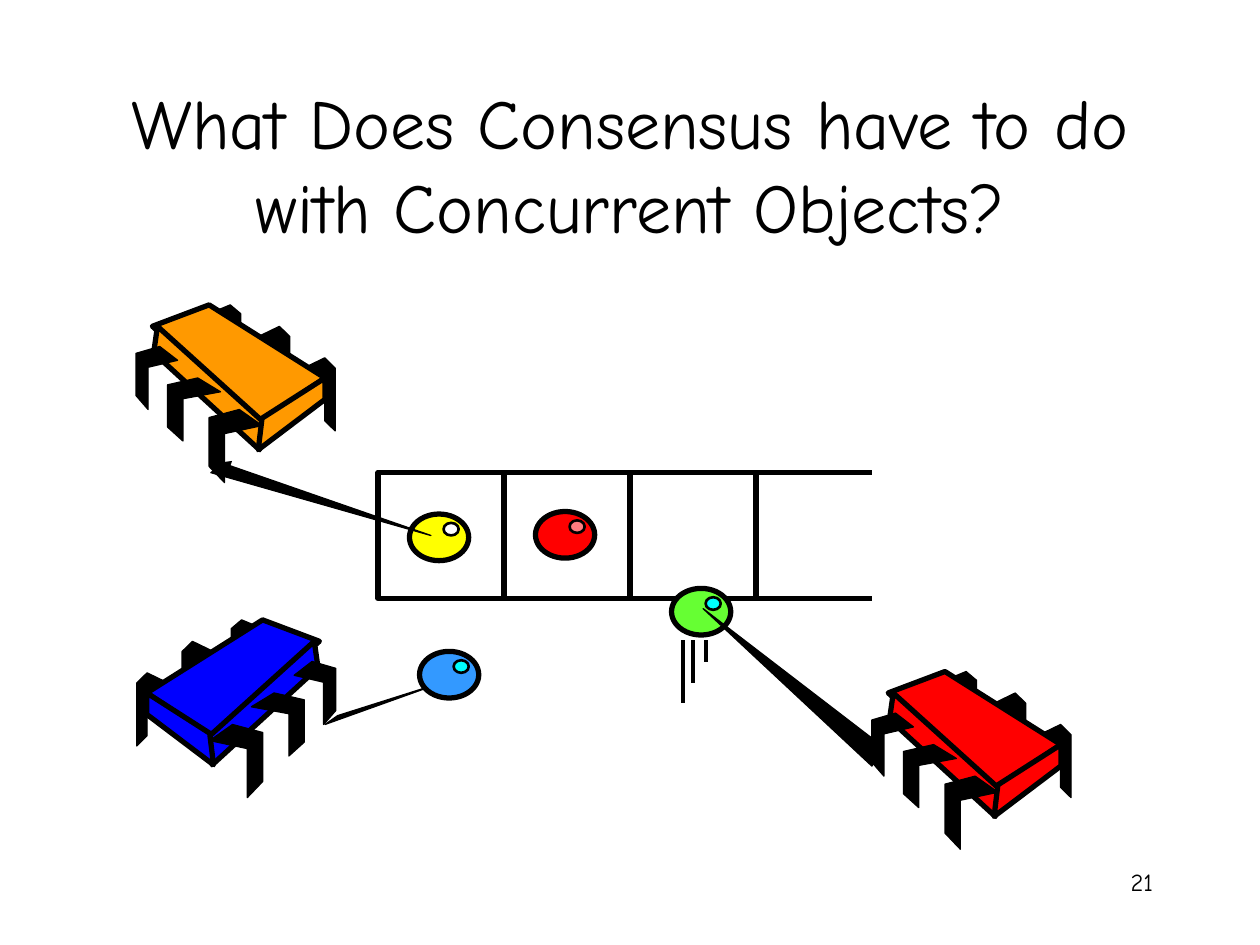
from typing import NamedTuple

from lxml.etree import SubElement
from pptx import Presentation
from pptx.dml.color import RGBColor
from pptx.enum.shapes import MSO_CONNECTOR, MSO_SHAPE
from pptx.enum.text import MSO_ANCHOR, MSO_AUTO_SIZE, PP_ALIGN
from pptx.oxml.ns import qn
from pptx.util import Inches, Pt

FONT = "Comic Neue"
COLORS = {
    "black": "000000", "white": "FFFFFF", "orange": "FF9900", "red": "FF0000",
    "blue": "0000FF", "yellow": "FFFF00", "green": "66FF33", "sky": "3399FF",
    "cyan": "00FFFF", "pink": "FF7C80",
}
Points = list[tuple[float, float]]


class Bug(NamedTuple):
    left: float
    top: float
    color: str
    mirrored: bool = False


class Leg(NamedTuple):
    left: float
    top: float
    width: float
    height: float


class Ball(NamedTuple):
    left: float
    top: float
    color: str
    shine: str


class Arm(NamedTuple):
    points: Points
    closed: bool = True


# Bug outlines, relative to the bug's top left corner
BUG_WIDTH = 1.585
FAR_LEG = [(0, .14), (.67, 0), (1, .14), (1, 1), (.67, .86), (.67, .29), (0, .43)]
NEAR_LEG = [(.57, 0), (1, .22), (.29, .33), (.29, 1), (0, .78), (0, .11)]
FAR_LEGS = [Leg(1.33, .42, .25, .58), Leg(.97, .17, .25, .58), Leg(.58, 0, .25, .5)]
NEAR_LEGS = [Leg(.58, .83, .42, .58), Leg(.25, .58, .42, .5), Leg(0, .33, .33, .5)]
BODY = [
    [(.58, 0), (1.5, .58), (.98, .93), (.13, .17)],
    [(.17, .17), (1, .92), (.98, 1.15), (.14, .38)],
    [(1.5, .58), (1.5, .75), (.97, 1.15), (1, .9)],
]

RED_BUG = Bug(6.92, 5.33, "red")
BLUE_BUG = Bug(1.08, 4.92, "blue", mirrored=True)
ORANGE_BUG = Bug(1.08, 2.42, "orange")
GREEN_BALL = Ball(5.33, 4.67, "green", "cyan")
RED_BALL = Ball(4.25, 4.06, "red", "pink")
BLUE_BALL = Ball(3.33, 5.17, "sky", "cyan")
YELLOW_BALL = Ball(3.25, 4.08, "yellow", "white")
RED_ARM = Arm([(6.92, 6.08), (7, 5.92), (5.58, 4.83)])
BLUE_ARM = Arm([(2.58, 5.75), (2.68, 5.68), (3.5, 5.42)])
ORANGE_ARM = Arm([(1.67, 3.75), (3.42, 4.25), (1.75, 3.67)], closed=False)

# Queue cells and motion lines
CELL = 1
QUEUE_LEFT, QUEUE_TOP, CELL_COUNT = 3, 3.75, 3
TAIL_LEFT = 5.92
MOTION_TOP = 5.08
MOTION_LINES = [(5.42, .5), (5.5, .34), (5.6, .17)]

deck = Presentation()
deck.slide_width, deck.slide_height = Inches(10), Inches(7.5)
page = deck.slides.add_slide(deck.slide_layouts[5])


def color(name: str) -> RGBColor:
    return RGBColor.from_string(COLORS[name])


def style(shape, fill: str | None, width: float) -> None:
    shape.shadow.inherit = False
    if fill:
        shape.fill.solid()
        shape.fill.fore_color.rgb = color(fill)
    else:
        shape.fill.background()
    shape.line.color.rgb = color("black")
    shape.line.width = Pt(width)


def add_preset(kind, left: float, top: float, width: float, height: float,
               fill: str | None = None, line: float = 3) -> None:
    shape = page.shapes.add_shape(
        kind, Inches(left), Inches(top), Inches(width), Inches(height))
    style(shape, fill, line)


def add_outline(points: Points, fill: str = "black", line: float = .75,
                closed: bool = True):
    corners = [(Inches(x), Inches(y)) for x, y in points]
    builder = page.shapes.build_freeform(*corners[0])
    builder.add_line_segments(corners[1:], close=closed)
    shape = builder.convert_to_shape()
    style(shape, fill, line)
    return shape


def add_line(x1: float, y1: float, x2: float, y2: float, width: float) -> None:
    line = page.shapes.add_connector(
        MSO_CONNECTOR.STRAIGHT, Inches(x1), Inches(y1), Inches(x2), Inches(y2))
    line.line.color.rgb = color("black")
    line.line.width = Pt(width)
    SubElement(line._element.spPr, qn("a:effectLst"))


def add_ball(ball: Ball) -> None:
    add_preset(MSO_SHAPE.OVAL, ball.left, ball.top, .47, .37, fill=ball.color)
    add_preset(MSO_SHAPE.OVAL, ball.left + .27, ball.top + .07, .12, .1,
               fill=ball.shine, line=1.5)


def add_bug(bug: Bug) -> None:
    def place(points: Points) -> Points:
        return [(bug.left + (BUG_WIDTH - x if bug.mirrored else x), bug.top + y)
                for x, y in points]

    def add_legs(legs: list[Leg], outline: Points) -> None:
        for leg in legs:
            add_outline(place([(leg.left + x * leg.width, leg.top + y * leg.height)
                               for x, y in outline]))

    add_legs(FAR_LEGS, FAR_LEG)
    for face in BODY:
        add_outline(place(face), bug.color, 3)
    add_legs(NEAR_LEGS, NEAR_LEG)


def add_arm(arm: Arm) -> None:
    shape = add_outline(arm.points, closed=arm.closed)
    if not arm.closed:
        SubElement(shape.line._get_or_add_ln(), qn("a:tailEnd"), type="triangle")


def write(box, text: str, *, size: float, align, anchor) -> None:
    frame = box.text_frame
    frame.word_wrap = True
    frame.auto_size = MSO_AUTO_SIZE.NONE
    frame.vertical_anchor = anchor
    para = frame.paragraphs[0]
    para.alignment = align
    span = para.add_run()
    span.text = text
    span.font.name, span.font.size = FONT, Pt(size)
    span.font.color.rgb = color("black")


# Title and page number
title = page.shapes.title
title.left, title.top = Inches(.75), Inches(.67)
title.width, title.height = Inches(8.5), Inches(1.25)
write(title, "What Does Consensus have to do with Concurrent Objects?",
      size=40, align=PP_ALIGN.CENTER, anchor=MSO_ANCHOR.MIDDLE)
number = page.shapes.add_textbox(Inches(7.17), Inches(6.83), Inches(2.08), Inches(.5))
write(number, "21", size=14, align=PP_ALIGN.RIGHT, anchor=MSO_ANCHOR.TOP)

# Queue
for index in range(CELL_COUNT):
    add_preset(MSO_SHAPE.RECTANGLE, QUEUE_LEFT + index * CELL, QUEUE_TOP, CELL, CELL)
for y in (QUEUE_TOP, QUEUE_TOP + CELL):
    add_line(TAIL_LEFT, y, TAIL_LEFT + CELL, y, 3)

# Red bug with the green ball in motion
add_ball(GREEN_BALL)
add_ball(RED_BALL)
add_bug(RED_BUG)
add_arm(RED_ARM)
for x, length in MOTION_LINES:
    add_line(x, MOTION_TOP, x, MOTION_TOP + length, 2.25)

# Blue bug and its ball
add_bug(BLUE_BUG)
add_arm(BLUE_ARM)
add_ball(BLUE_BALL)

# Orange bug reaching for the yellow ball
add_ball(YELLOW_BALL)
add_bug(ORANGE_BUG)
add_arm(ORANGE_ARM)

deck.save("out.pptx")
